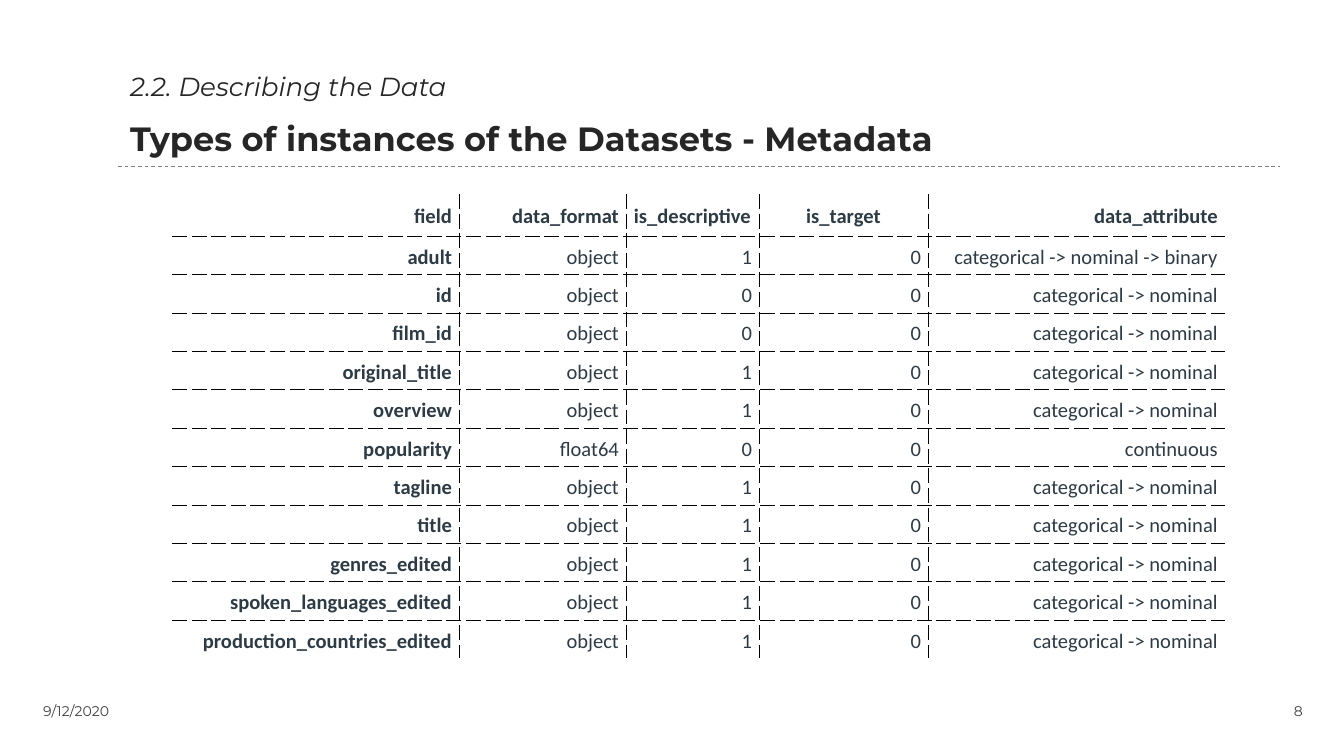
from itertools import product
from lxml import etree
from pptx import Presentation
from pptx.dml.color import RGBColor
from pptx.enum.dml import MSO_LINE
from pptx.enum.shapes import MSO_CONNECTOR
from pptx.enum.text import MSO_ANCHOR, PP_ALIGN
from pptx.oxml.ns import qn
from pptx.util import Pt

"""Build the slide that lists the metadata fields and their types."""

SECTION = "2.2. Describing the Data"
TITLE = "Types of instances of the Datasets - Metadata"
DATE, PAGE = "9/12/2020", "8"
NOMINAL = "categorical -> nominal"
HEADER = ("field", "data_format", "is_descriptive", "is_target", "data_attribute")
FIELDS = [
    ("adult", "object", "1", "0", NOMINAL + " -> binary"),
    ("id", "object", "0", "0", NOMINAL),
    ("film_id", "object", "0", "0", NOMINAL),
    ("original_title", "object", "1", "0", NOMINAL),
    ("overview", "object", "1", "0", NOMINAL),
    ("popularity", "float64", "0", "0", "continuous"),
    ("tagline", "object", "1", "0", NOMINAL),
    ("title", "object", "1", "0", NOMINAL),
    ("genres_edited", "object", "1", "0", NOMINAL),
    ("spoken_languages_edited", "object", "1", "0", NOMINAL),
    ("production_countries_edited", "object", "1", "0", NOMINAL),
]
CENTERED_HEADERS = ("is_descriptive", "is_target")

THEME = {
    "heading_font": "Montserrat", "table_font": "Calibri",
    "heading": "262626", "footer": "404040", "rule": "808080",
    "cell": "2D3B45", "border": "000000",
    "section_size": 14, "title_size": 18, "footer_size": 7.5, "cell_size": 11,
    "rule_width": 0.5, "border_width": 0.25,
}

SCALE = 914400 / 134.4
COLUMN_WIDTHS = (287, 167, 133, 169, 297)
TABLE_LEFT, TABLE_TOP = 172, 194
HEADER_HEIGHT, BODY_HEIGHT = 42, 423
CELL_INSET = 7


def px(value):
    return round(value * SCALE)


def style(run, font, size, color, bold=False, italic=False):
    run.font.name, run.font.size = font, Pt(size)
    run.font.bold, run.font.italic = bold, italic
    run.font.color.rgb = RGBColor.from_string(color)


def add_text(box, anchor):
    frame = slide.shapes.add_textbox(*map(px, box)).text_frame
    frame.word_wrap, frame.vertical_anchor = True, anchor
    return frame.paragraphs[0]


def add_footer(box, text, align):
    paragraph = add_text(box, MSO_ANCHOR.BOTTOM)
    paragraph.alignment = align
    run = paragraph.add_run()
    run.text = text
    style(run, THEME["heading_font"], THEME["footer_size"], THEME["footer"])


def set_border(cell, side, visible):
    line = etree.SubElement(cell._tc.get_or_add_tcPr(), qn(f"a:ln{side}"),
                            w=str(Pt(THEME["border_width"])))
    if not visible:
        etree.SubElement(line, qn("a:noFill"))
        return
    fill = etree.SubElement(line, qn("a:solidFill"))
    etree.SubElement(fill, qn("a:srgbClr"), val=THEME["border"])
    etree.SubElement(line, qn("a:prstDash"), val="dash")


prs = Presentation()
prs.slide_width, prs.slide_height = px(1344), px(756)
slide = prs.slides.add_slide(prs.slide_layouts[6])

heading = add_text((117, 51, 1163, 116), MSO_ANCHOR.TOP)
heading.line_spacing = 1.4
section = heading.add_run()
section.text = SECTION
style(section, THEME["heading_font"], THEME["section_size"], THEME["heading"], italic=True)
heading.add_line_break()
title = heading.add_run()
title.text = TITLE
style(title, THEME["heading_font"], THEME["title_size"], THEME["heading"], bold=True)

add_footer((30, 695, 302, 31), DATE, PP_ALIGN.LEFT)
add_footer((1154, 695, 162, 31), PAGE, PP_ALIGN.RIGHT)

rule = slide.shapes.add_connector(MSO_CONNECTOR.STRAIGHT, *map(px, (118, 166, 1280, 166)))
rule.line.color.rgb = RGBColor.from_string(THEME["rule"])
rule.line.width, rule.line.dash_style = Pt(THEME["rule_width"]), MSO_LINE.DASH
etree.SubElement(rule._element.spPr, qn("a:effectLst"))

rows = [HEADER, *FIELDS]
last_row, last_column = len(rows) - 1, len(HEADER) - 1
table = slide.shapes.add_table(
    len(rows), len(HEADER), px(TABLE_LEFT), px(TABLE_TOP),
    px(sum(COLUMN_WIDTHS)), px(HEADER_HEIGHT + BODY_HEIGHT)).table
table.first_row = table.horz_banding = False
for column, width in zip(table.columns, COLUMN_WIDTHS):
    column.width = px(width)
for r, row in enumerate(table.rows):
    row.height = px(BODY_HEIGHT / len(FIELDS) if r else HEADER_HEIGHT)

for r, c in product(range(len(rows)), range(len(HEADER))):
    cell, text = table.cell(r, c), rows[r][c]
    cell.margin_left = cell.margin_right = px(CELL_INSET)
    cell.margin_top = cell.margin_bottom = 0
    cell.vertical_anchor = MSO_ANCHOR.MIDDLE
    inner = {"L": c > 0, "R": c < last_column, "T": r > 0, "B": r < last_row}
    for side, visible in inner.items():
        set_border(cell, side, visible)
    cell.fill.background()
    paragraph = cell.text_frame.paragraphs[0]
    paragraph.alignment = PP_ALIGN.CENTER if text in CENTERED_HEADERS else PP_ALIGN.RIGHT
    paragraph.line_spacing = 1.15
    run = paragraph.add_run()
    run.text = text
    style(run, THEME["table_font"], THEME["cell_size"], THEME["cell"], bold=r == 0 or c == 0)

prs.save("out.pptx")
